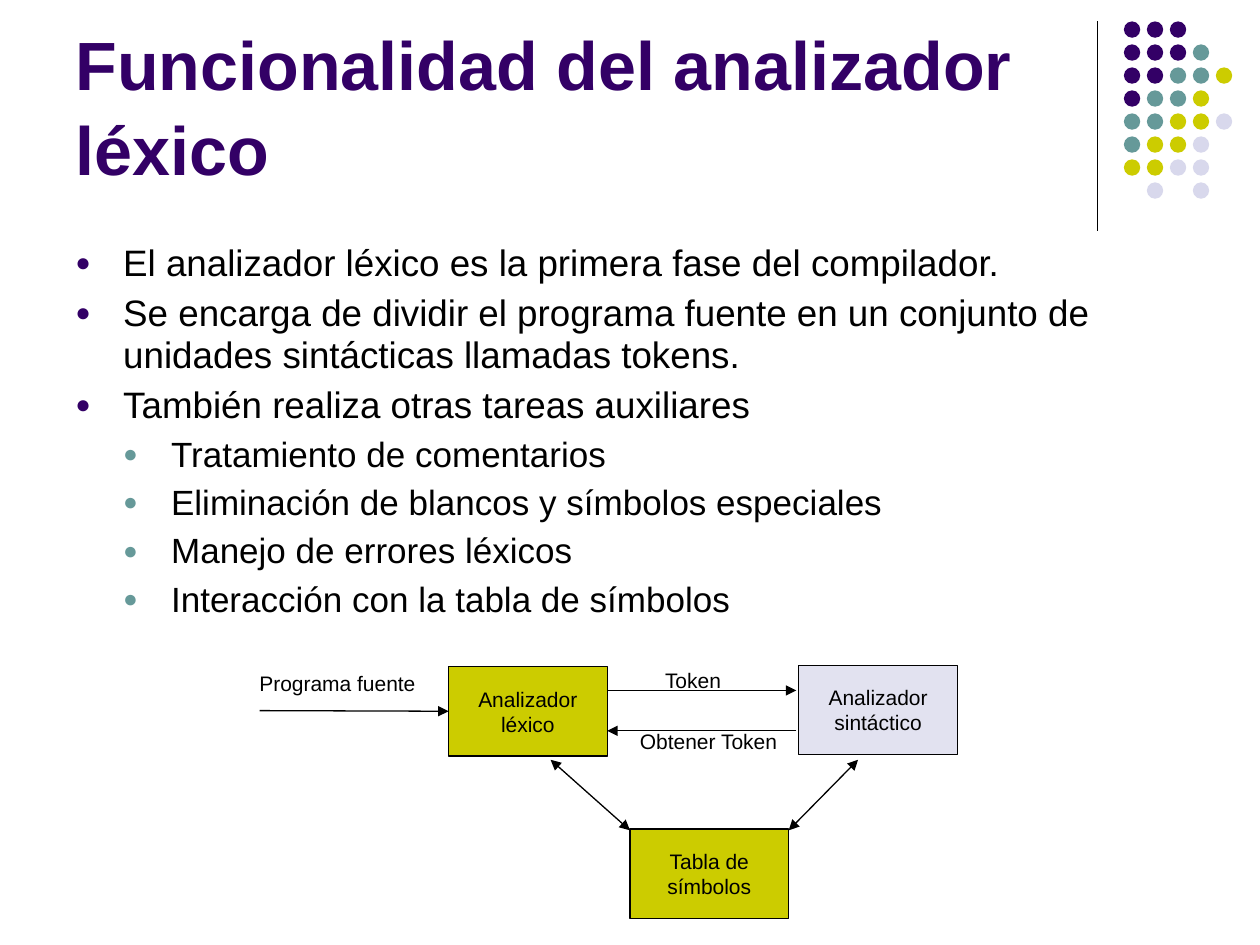
"""Build the slide on what a lexical analyser does, with its diagram."""
from lxml.etree import SubElement
from pptx import Presentation
from pptx.dml.color import RGBColor
from pptx.enum.shapes import MSO_CONNECTOR, MSO_SHAPE
from pptx.enum.text import MSO_ANCHOR, MSO_AUTO_SIZE, PP_ALIGN
from pptx.oxml.ns import qn
from pptx.util import Inches, Pt

PURPLE, TEAL, OLIVE, LAVENDER, BLACK = "330066", "669999", "CCCC00", "D8D8EC", "000000"
color = RGBColor.from_string


def set_font(paragraph, size, hex_color=BLACK, bold=False):
    paragraph.font.name = "Arial"
    paragraph.font.size = Pt(size)
    paragraph.font.bold = bold
    paragraph.font.color.rgb = color(hex_color)


def add_line(start, end, arrowheads=()):
    points = [Inches(value) for value in (*start, *end)]
    connector = slide.shapes.add_connector(MSO_CONNECTOR.STRAIGHT, *points)
    connector.line.color.rgb = color(BLACK)
    connector.line.width = Pt(0.75)
    for arrowhead in arrowheads:
        SubElement(connector.line._get_or_add_ln(), qn(f"a:{arrowhead}"), type="triangle")
    SubElement(connector._element.spPr, qn("a:effectLst"))
    return connector


presentation = Presentation()
presentation.slide_width = Inches(10)
presentation.slide_height = Inches(7.5)
slide = presentation.slides.add_slide(presentation.slide_layouts[5])

add_line((8.71, 0.17), (8.71, 1.83))

dot_rows = ["PPP", "PPPT", "PPTTO", "PTTO", "TTOOL", "TOOL", "OOLL", " L L"]
dot_colors = {"P": PURPLE, "T": TEAL, "O": OLIVE, "L": LAVENDER}
dot_pitch = 0.73 / 4
for row, letters in enumerate(dot_rows):
    for column, letter in enumerate(letters):
        if letter in dot_colors:
            dot = slide.shapes.add_shape(
                MSO_SHAPE.OVAL, Inches(8.92 + column * dot_pitch),
                Inches(0.17 + row * dot_pitch), Inches(0.13), Inches(0.13))
            dot.shadow.inherit = False
            dot.fill.solid()
            dot.fill.fore_color.rgb = color(dot_colors[letter])
            dot.line.fill.background()

title = slide.shapes.title
title.left, title.top = Inches(0.5), Inches(0.13)
title.width, title.height = Inches(8.25), Inches(1.42)
title.text_frame.text = "Funcionalidad del analizador léxico"
title.text_frame.word_wrap = True
title.text_frame.auto_size = MSO_AUTO_SIZE.NONE
title.text_frame.vertical_anchor = MSO_ANCHOR.BOTTOM
title_paragraph = title.text_frame.paragraphs[0]
title_paragraph.alignment = PP_ALIGN.LEFT
title_paragraph.line_spacing = 1.04
set_font(title_paragraph, 39, PURPLE, bold=True)

bullets = [
    (0, "El analizador léxico es la primera fase del compilador."),
    (0, "Se encarga de dividir el programa fuente en un conjunto de unidades sintácticas llamadas tokens."),
    (0, "También realiza otras tareas auxiliares"),
    (1, "Tratamiento de comentarios"),
    (1, "Eliminación de blancos y símbolos especiales"),
    (1, "Manejo de errores léxicos"),
    (1, "Interacción con la tabla de símbolos"),
]
body = slide.shapes.add_textbox(Inches(0.5), Inches(1.88), Inches(9), Inches(3.37))
body.text_frame.word_wrap = True
for index, (level, text) in enumerate(bullets):
    paragraph = body.text_frame.paragraphs[0] if index == 0 else body.text_frame.add_paragraph()
    paragraph.text = text
    paragraph.level = level
    paragraph.line_spacing = 0.94
    if index:
        paragraph.space_before = Pt((5.2, 5)[level])
    properties = paragraph._p.get_or_add_pPr()
    properties.set("marL", str(Inches(0.38 * (level + 1))))
    properties.set("indent", str(Inches(-0.38)))
    bullet_color = SubElement(properties, qn("a:buClr"))
    SubElement(bullet_color, qn("a:srgbClr"), val=(PURPLE, TEAL)[level])
    SubElement(properties, qn("a:buSzPct"), val="70000")
    SubElement(properties, qn("a:buFont"), typeface="Arial")
    SubElement(properties, qn("a:buChar"), char="●")
    set_font(paragraph, (21, 20)[level])

boxes = {}
for left, top, text, fill in [
    (3.56, 5.29, "Analizador\nléxico", OLIVE),
    (6.34, 5.28, "Analizador\nsintáctico", LAVENDER),
    (5, 6.58, "Tabla de\nsímbolos", OLIVE),
]:
    box = slide.shapes.add_shape(
        MSO_SHAPE.RECTANGLE, Inches(left), Inches(top), Inches(1.26), Inches(0.71))
    box.shadow.inherit = False
    box.fill.solid()
    box.fill.fore_color.rgb = color(fill)
    box.line.color.rgb = color(BLACK)
    box.line.width = Pt(0.75)
    box.text_frame.text = text
    box.text_frame.word_wrap = False
    box.text_frame.vertical_anchor = MSO_ANCHOR.MIDDLE
    for paragraph in box.text_frame.paragraphs:
        paragraph.alignment = PP_ALIGN.CENTER
        set_font(paragraph, 12)
    boxes[text] = box

parser_fill = boxes["Analizador\nsintáctico"]._element.spPr.find(qn("a:solidFill"))
SubElement(parser_fill[0], qn("a:alpha"), val="74000")

for left, top, width, text in [
    (1.96, 5.27, 1.44, "Programa fuente"),
    (5.18, 5.25, 0.66, "Token"),
    (4.98, 5.73, 1.31, "Obtener Token"),
]:
    label = slide.shapes.add_textbox(Inches(left), Inches(top), Inches(width), Inches(0.3))
    label.text_frame.text = text
    label.text_frame.word_wrap = False
    label.text_frame.auto_size = MSO_AUTO_SIZE.SHAPE_TO_FIT_TEXT
    set_font(label.text_frame.paragraphs[0], 12)

source_arrow = add_line((2.06, 5.64), (3.56, 5.64), ["tailEnd"])
source_arrow.end_connect(boxes["Analizador\nléxico"], 1)
add_line((4.82, 5.48), (6.32, 5.48), ["tailEnd"])
add_line((6.32, 5.8), (4.82, 5.8), ["tailEnd"])
add_line((4.37, 6.03), (5, 6.59), ["headEnd", "tailEnd"])
add_line((6.26, 6.59), (6.81, 6.03), ["headEnd", "tailEnd"])

presentation.save("out.pptx")
